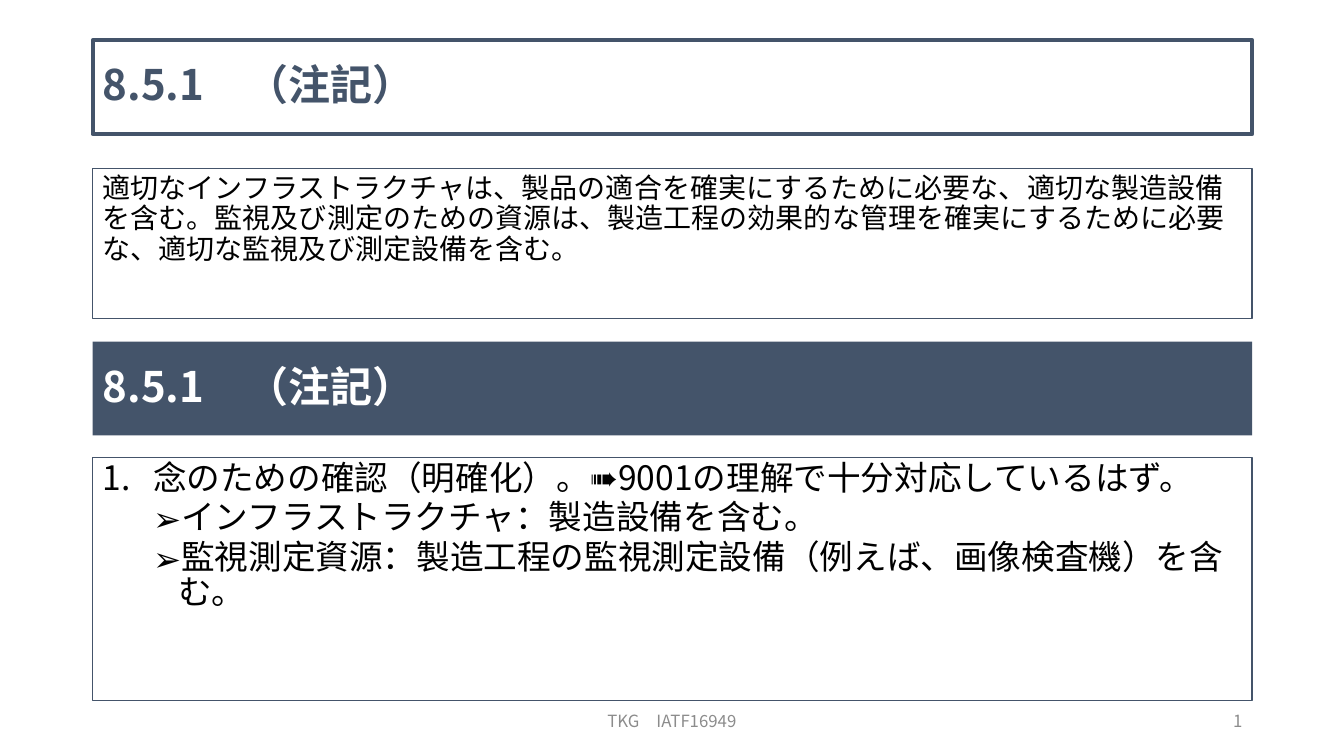
from lxml.etree import SubElement
from pptx import Presentation
from pptx.dml.color import RGBColor as RGB
from pptx.enum.shapes import MSO_SHAPE as SHAPE
from pptx.enum.text import MSO_ANCHOR as ANCHOR, PP_ALIGN as ALIGN
from pptx.oxml.ns import qn
from pptx.util import Inches, Pt

HEADING = "8.5.1\u3000（注記）"
REQUIREMENT = (
    "適切なインフラストラクチャは、製品の適合を確実にするために必要な、適切な製造設備を含む。"
    "監視及び測定のための資源は、製造工程の効果的な管理を確実にするために必要な、"
    "適切な監視及び測定設備を含む。"
)
COMMENTS = [
    ("念のための確認（明確化）。➠9001の理解で十分対応しているはず。", 0),
    ("インフラストラクチャ：製造設備を含む。", 1),
    ("監視測定資源：製造工程の監視測定設備（例えば、画像検査機）を含む。", 1),
]
FOOTER = "TKG\u3000IATF16949"
PAGE = "1"

COLORS = {"navy": "44546A", "white": "FFFFFF", "black": "000000", "gray": "8C8C8C"}
FONT = "Noto Sans CJK JP"
WIDTH, HEIGHT = 13.33, 7.5
LEFT, BAND = 0.92, 11.5
HEAD_H = 0.93
FOOT_Y, FOOT_H = 6.95, 0.4
LEVELS = [
    {"indent": (0.5, -0.5), "bullet": ("buAutoNum", "type", "arabicPeriod"), "before": 0},
    {"indent": (0.75, -0.25), "bullet": ("buChar", "char", "➢"), "before": 4},
]


def color(name):
    return RGB.from_string(COLORS[name])


def add_box(s, x, y, w, h, fill=None, line=None, weight=1, anchor=ANCHOR.TOP):
    sp = s.shapes.add_shape(SHAPE.RECTANGLE, Inches(x), Inches(y), Inches(w), Inches(h))
    sp.shadow.inherit = False
    if fill:
        sp.fill.solid()
        sp.fill.fore_color.rgb = color(fill)
    else:
        sp.fill.background()
    if line:
        sp.line.color.rgb = color(line)
        sp.line.width = Pt(weight)
    else:
        sp.line.fill.background()
    sp.text_frame.word_wrap = True
    sp.text_frame.vertical_anchor = anchor
    return sp.text_frame


def add_label(s, x, w):
    tf = s.shapes.add_textbox(Inches(x), Inches(FOOT_Y), Inches(w), Inches(FOOT_H)).text_frame
    tf.word_wrap = True
    tf.vertical_anchor = ANCHOR.MIDDLE
    return tf


def write(p, text, size=24, ink="black", bold=False, align=ALIGN.LEFT,
          spacing=1.0, before=0, indent=None, bullet=None):
    p.alignment = align
    p.line_spacing = spacing
    p.space_before = Pt(before)
    pPr = p._p.get_or_add_pPr()
    if indent:
        pPr.set("marL", str(Inches(indent[0])))
        pPr.set("indent", str(Inches(indent[1])))
    if bullet:
        tag, key, value = bullet
        SubElement(pPr, qn("a:buFont")).set("typeface", FONT)
        SubElement(pPr, qn("a:" + tag)).set(key, value)
    r = p.add_run()
    r.text = text
    r.font.size = Pt(size)
    r.font.bold = bold
    r.font.name = FONT
    r.font.color.rgb = color(ink)
    SubElement(r._r.get_or_add_rPr(), qn("a:ea")).set("typeface", FONT)


def main():
    prs = Presentation()
    prs.slide_width, prs.slide_height = Inches(WIDTH), Inches(HEIGHT)
    s = prs.slides.add_slide(prs.slide_layouts[6])

    for y, fill, line, ink in [(0.4, "white", "navy", "navy"), (3.39, "navy", None, "white")]:
        tf = add_box(s, LEFT, y, BAND, HEAD_H, fill, line, 3, ANCHOR.MIDDLE)
        write(tf.paragraphs[0], HEADING, size=30, ink=ink, bold=True, spacing=0.9)

    tf = add_box(s, LEFT, 1.67, BAND, 1.49, line="navy")
    write(tf.paragraphs[0], REQUIREMENT, size=20, spacing=0.92)

    tf = add_box(s, LEFT, 4.54, BAND, FOOT_Y - 4.54, line="navy")
    for i, (text, level) in enumerate(COMMENTS):
        p = tf.add_paragraph() if i else tf.paragraphs[0]
        p.level = level
        write(p, text, spacing=0.85, **LEVELS[level])

    for text, x, w, align in [
        (FOOTER, (WIDTH - 4.5) / 2, 4.5, ALIGN.CENTER),
        (PAGE, LEFT + BAND - 3, 3, ALIGN.RIGHT),
    ]:
        write(add_label(s, x, w).paragraphs[0], text, size=12, ink="gray", align=align)

    prs.save("out.pptx")


if __name__ == "__main__":
    main()
